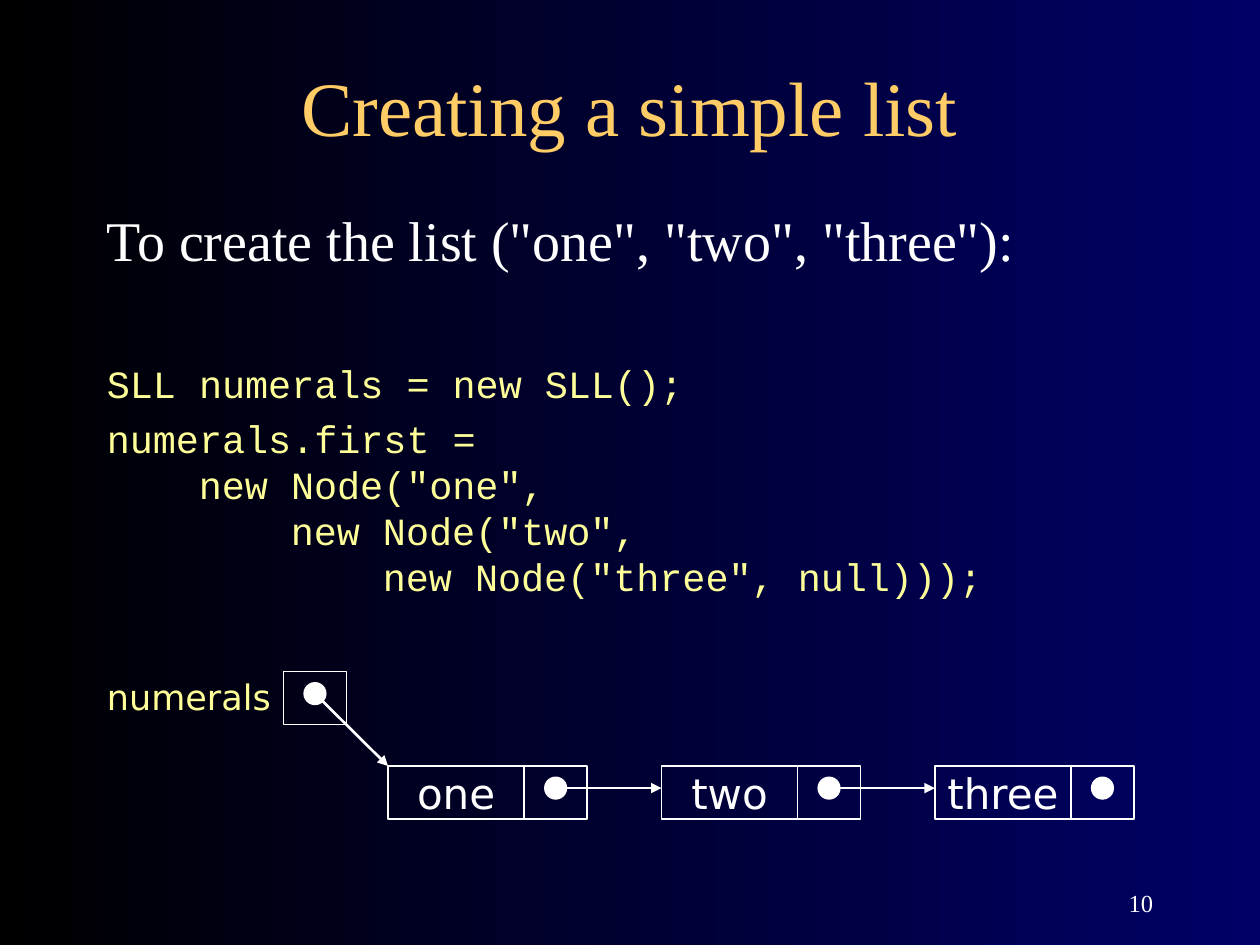
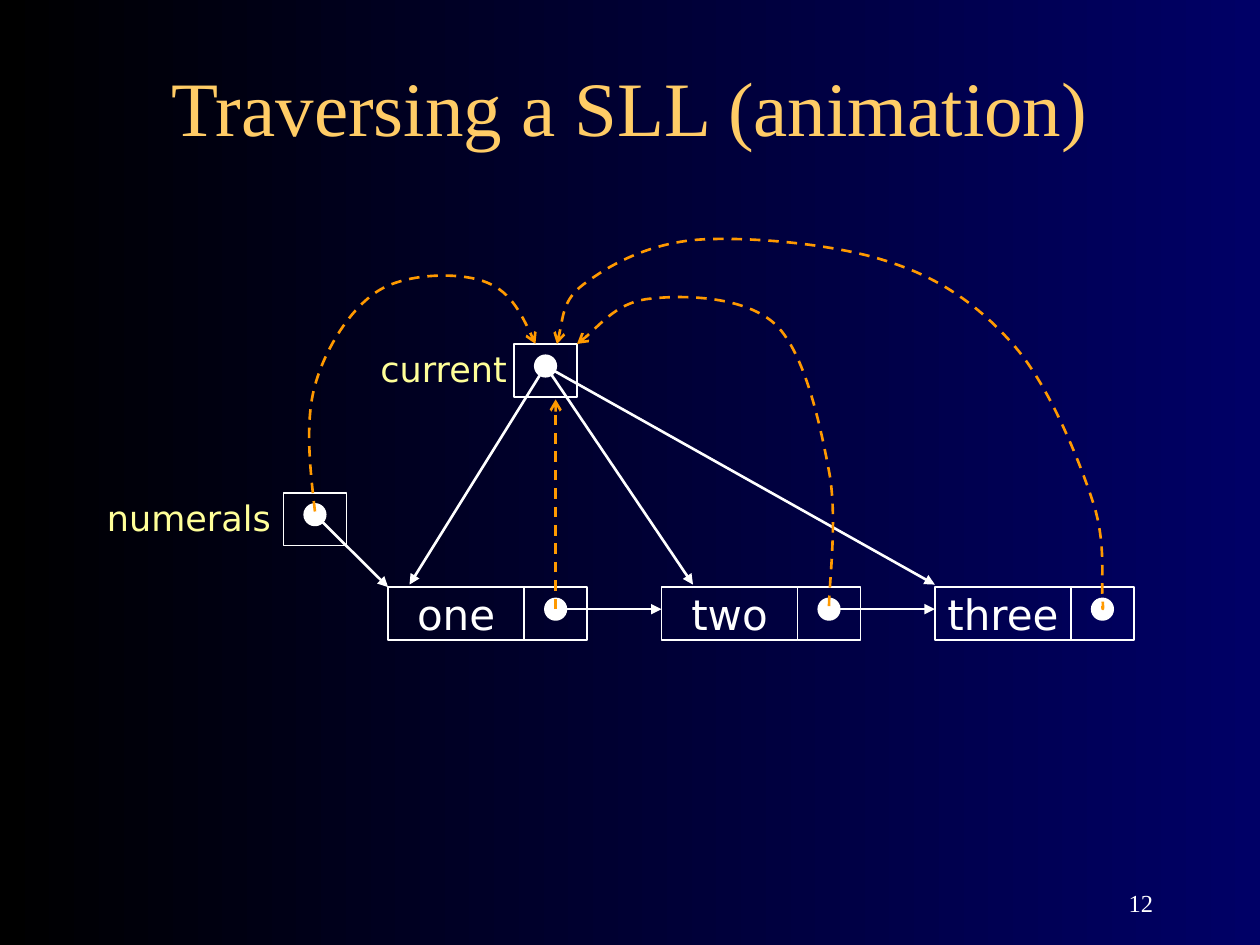
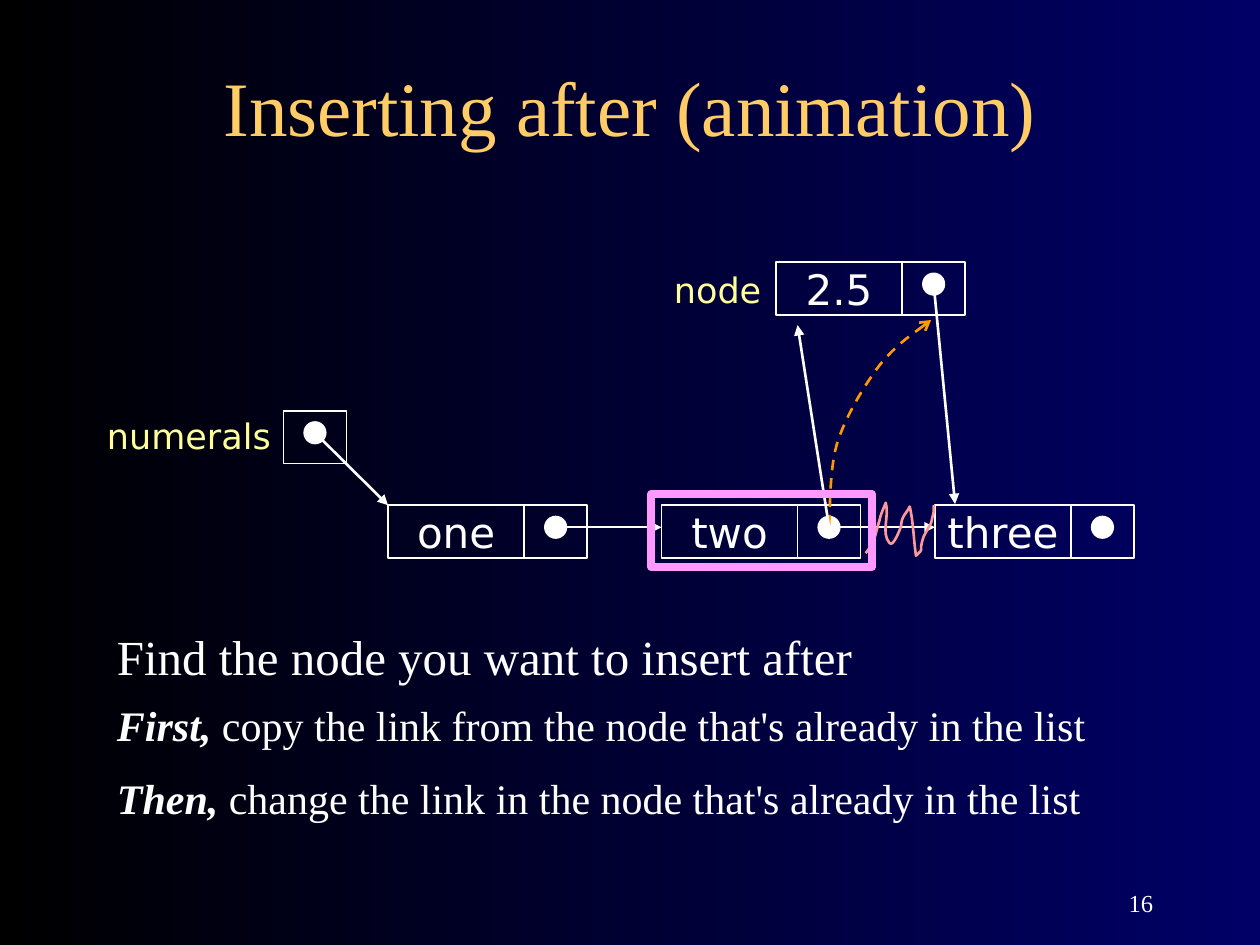
"""Build three slides about singly linked lists."""
from pptx import Presentation
from pptx.dml.color import RGBColor
from pptx.enum.dml import MSO_LINE
from pptx.enum.shapes import MSO_CONNECTOR, MSO_SHAPE
from pptx.enum.text import MSO_ANCHOR, MSO_AUTO_SIZE, PP_ALIGN
from pptx.oxml.ns import qn
from pptx.util import Inches, Pt
from lxml.etree import SubElement

BLACK = RGBColor(0x00, 0x00, 0x00)
NAVY = RGBColor(0x00, 0x00, 0x66)
WHITE = RGBColor(0xFF, 0xFF, 0xFF)
GOLD = RGBColor(0xFF, 0xCC, 0x66)
YELLOW = RGBColor(0xFF, 0xFF, 0x99)
ORANGE = RGBColor(0xFF, 0x99, 0x00)
SALMON = RGBColor(0xFF, 0x99, 0x99)
PINK = RGBColor(0xFF, 0x99, 0xFF)

SERIF, MONO, SANS = "Times New Roman", "Courier New", "DejaVu Sans"
TITLE = {"name": SERIF, "size": Pt(44), "color": GOLD}
NUMBER = {"name": SERIF, "size": Pt(14), "color": WHITE}
LEAD = {"name": SERIF, "size": Pt(32), "color": WHITE}
CODE = {"name": MONO, "size": Pt(22), "color": YELLOW}
LABEL = {"name": SANS, "size": Pt(20), "color": YELLOW}
VALUE = {"name": SANS, "size": Pt(24), "color": WHITE}
GOAL = {"name": SERIF, "size": Pt(28), "color": WHITE}
STEP = {"name": SERIF, "size": Pt(24), "color": WHITE}
STRONG = {**STEP, "bold": True, "italic": True}

SOLID = {"color": WHITE, "width": 1.5, "head": "triangle"}
LINK = {**SOLID, "width": 1}
DASHED = {"color": ORANGE, "width": 1.5, "dash": MSO_LINE.DASH, "head": "arrow"}
SCRIBBLE = {"color": SALMON, "width": 1.5}

LIST_VALUES = ["one", "two", "three"]
LIST_LEFT, NODE_PITCH = 3.08, 2.17
VALUE_WIDTH, POINTER_WIDTH, BOX_HEIGHT = 1.08, 0.5, 0.42
DOT_SIZE, DOT_TOP = 0.17, 0.09
NUMERALS_LEFT, NUMERALS_RISE = 2.25, 0.75

INTRO = 'To create the list ("one", "two", "three"):'
CODE_LINES = [
    (0, 50, "SLL numerals = new SLL();"),
    (0, 5.5, "numerals.first ="),
    (1, 0, 'new Node("one",'),
    (2, 0, 'new Node("two",'),
    (3, 0, 'new Node("three", null)));'),
]
CODE_INDENT, CODE_PITCH = 0.73, 26.2

CURRENT_TARGETS = [(3.25, 4.64), (5.5, 4.64), (7.42, 4.64)]
COPIES_TO_CURRENT = [
    [(2.5, 4.06), (2.46, 3.71), (2.42, 3.35), (2.5, 3.06), (2.58, 2.77),
     (2.78, 2.45), (3, 2.31), (3.22, 2.17), (3.62, 2.16), (3.83, 2.23),
     (4.04, 2.3), (4.15, 2.51), (4.25, 2.73)],
    [(6.58, 4.81), (6.58, 4.63), (6.65, 4.11), (6.58, 3.74), (6.51, 3.37),
     (6.39, 2.81), (6.16, 2.58), (5.92, 2.35), (5.43, 2.34), (5.17, 2.37),
     (4.91, 2.39), (4.7, 2.65), (4.58, 2.73)],
    [(8.75, 4.81), (8.75, 4.84), (8.76, 4.87), (8.75, 4.73), (8.74, 4.59),
     (8.78, 4.29), (8.67, 3.97), (8.56, 3.64), (8.34, 3.1), (8.08, 2.78),
     (7.82, 2.47), (7.51, 2.23), (7.09, 2.09), (6.67, 1.94), (5.99, 1.88),
     (5.58, 1.9), (5.18, 1.92), (4.86, 2.09), (4.67, 2.23), (4.47, 2.36),
     (4.47, 2.55), (4.42, 2.73)],
]

COPY_LINK = [(6.58, 4.17), (6.59, 4.06), (6.58, 3.71), (6.65, 3.5), (6.72, 3.29),
             (6.86, 3.06), (6.98, 2.9), (7.11, 2.74), (7.3, 2.61), (7.39, 2.54)]
CROSS_OUT = [(6.87, 4.39), (6.95, 4.29), (6.94, 4.26), (6.98, 4.13), (6.99, 4.08),
             (7.01, 4.04), (7.03, 3.99), (7.06, 4.1), (6.99, 4.23), (7.06, 4.31),
             (7.09, 4.35), (7.15, 4.18), (7.15, 4.18), (7.16, 4.08), (7.18, 4.1),
             (7.22, 4.02), (7.25, 4.15), (7.25, 4.28), (7.27, 4.41), (7.35, 4.33),
             (7.28, 4.41), (7.33, 4.26), (7.35, 4.22), (7.39, 4.15), (7.39, 4.15),
             (7.42, 4.02), (7.41, 4.07), (7.41, 4.01)]
INSERT_STEPS = [
    (4.92, 8.08, 0.57, [("Find the node you want to insert after", GOAL)]),
    (5.5, 8.08, 0.5, [("First, ", STRONG),
                      ("copy the link from the node that's already in the list", STEP)]),
    (6.08, 8.67, 0.5, [("Then,", STRONG),
                       (" change the link in the node that's already in the list", STEP)]),
]


def add_run(paragraph, text, style):
    run = paragraph.add_run()
    run.text = text
    for name, value in style.items():
        if name == "color":
            run.font.color.rgb = value
        else:
            setattr(run.font, name, value)


def format_object(target, values):
    for name, value in values.items():
        setattr(target, name, value)


def add_text(slide, left, top, width, height, runs, align=PP_ALIGN.LEFT, anchor=MSO_ANCHOR.TOP):
    box = slide.shapes.add_textbox(Inches(left), Inches(top), Inches(width), Inches(height))
    format_object(box.text_frame, {"word_wrap": True, "vertical_anchor": anchor})
    paragraph = box.text_frame.paragraphs[0]
    paragraph.alignment = align
    for text, style in runs:
        add_run(paragraph, text, style)
    return box


def format_line(shape, style):
    shape.line.color.rgb = style["color"]
    shape.line.width = Pt(style["width"])
    if "dash" in style:
        shape.line.dash_style = style["dash"]
    if "head" in style:
        line = shape._element.spPr.find(qn("a:ln"))
        SubElement(line, qn("a:tailEnd"), type=style["head"])


def add_arrow(slide, start, end, style):
    points = [Inches(value) for value in (*start, *end)]
    arrow = slide.shapes.add_connector(MSO_CONNECTOR.STRAIGHT, *points)
    format_line(arrow, style)
    SubElement(arrow._element.spPr, qn("a:effectLst"))


def add_curve(slide, points, style):
    start, *rest = [(Inches(x), Inches(y)) for x, y in points]
    builder = slide.shapes.build_freeform(*start)
    builder.add_line_segments(rest, close=False)
    curve = builder.convert_to_shape()
    curve.shadow.inherit = False
    curve.fill.background()
    format_line(curve, style)
    outline = next(curve._element.iter(qn("a:path")))
    segments = outline.findall(qn("a:lnTo"))
    for index in range(0, len(segments), 3):
        bezier = SubElement(outline, qn("a:cubicBezTo"))
        for segment in segments[index:index + 3]:
            bezier.append(segment[0])
            outline.remove(segment)


def add_outline(slide, kind, left, top, width, height, color=WHITE, line_width=1):
    shape = slide.shapes.add_shape(kind, Inches(left), Inches(top), Inches(width), Inches(height))
    shape.shadow.inherit = False
    shape.fill.background()
    format_line(shape, {"color": color, "width": line_width})
    return shape


def add_pointer(slide, left, top):
    """Draw a pointer box with its dot and return the centre of the dot."""
    add_outline(slide, MSO_SHAPE.RECTANGLE, left, top, POINTER_WIDTH, BOX_HEIGHT)
    dot_left = left + (POINTER_WIDTH - DOT_SIZE) / 2
    dot = add_outline(slide, MSO_SHAPE.OVAL, dot_left, top + DOT_TOP, DOT_SIZE, DOT_SIZE)
    dot.fill.solid()
    dot.fill.fore_color.rgb = WHITE
    return left + POINTER_WIDTH / 2, top + DOT_TOP + DOT_SIZE / 2


def add_node(slide, left, top, value, value_width=VALUE_WIDTH):
    box = add_outline(slide, MSO_SHAPE.RECTANGLE, left, top, value_width, BOX_HEIGHT)
    format_object(box.text_frame, {"word_wrap": False, "vertical_anchor": MSO_ANCHOR.MIDDLE})
    paragraph = box.text_frame.paragraphs[0]
    paragraph.alignment = PP_ALIGN.CENTER
    add_run(paragraph, value, VALUE)
    return add_pointer(slide, left + value_width, top)


def add_label(slide, left, pointer_top, width, text):
    add_text(slide, left, pointer_top - 0.02, width, 0.44, [(text, LABEL)])


def add_numerals_list(slide, top):
    """Draw the numerals pointer and its chain, and return the dot centres."""
    dots = []
    for index, value in enumerate(LIST_VALUES):
        left = LIST_LEFT + index * NODE_PITCH
        dots.append(add_node(slide, left, top, value))
        if index < len(LIST_VALUES) - 1:
            add_arrow(slide, dots[-1], (left + NODE_PITCH, dots[-1][1]), LINK)
    pointer_top = top - NUMERALS_RISE
    start = add_pointer(slide, NUMERALS_LEFT, pointer_top)
    add_label(slide, 0.75, pointer_top, 1.58, "numerals")
    add_arrow(slide, start, (LIST_LEFT, top), SOLID)
    return dots


def add_titled_slide(presentation, title, number):
    slide = presentation.slides.add_slide(presentation.slide_layouts[5])
    format_object(slide.shapes.title, {"left": Inches(0.75), "top": Inches(0.42),
                                       "width": Inches(8.5), "height": Inches(0.83)})
    frame = slide.shapes.title.text_frame
    format_object(frame, {"word_wrap": True, "auto_size": MSO_AUTO_SIZE.NONE,
                          "vertical_anchor": MSO_ANCHOR.MIDDLE})
    frame.paragraphs[0].alignment = PP_ALIGN.CENTER
    add_run(frame.paragraphs[0], title, TITLE)
    add_text(slide, 7.17, 6.83, 2.08, 0.5, [(number, NUMBER)], PP_ALIGN.RIGHT, MSO_ANCHOR.BOTTOM)
    return slide


def set_background(presentation):
    fill = presentation.slide_master.background.fill
    fill.gradient()
    fill.gradient_angle = 0
    for stop, position, color in zip(fill.gradient_stops, (0, 1), (BLACK, NAVY)):
        stop.position = position
        stop.color.rgb = color


def build_creating(presentation):
    slide = add_titled_slide(presentation, "Creating a simple list", "10")
    body = add_text(slide, 0.75, 1.58, 8.5, 3.3, [(INTRO, LEAD)])
    body.text_frame.paragraphs[0].space_before = Pt(8)
    for level, space, text in CODE_LINES:
        paragraph = body.text_frame.add_paragraph()
        format_object(paragraph, {"space_before": Pt(space), "line_spacing": Pt(CODE_PITCH)})
        paragraph._p.get_or_add_pPr().set("marL", str(Inches(level * CODE_INDENT)))
        add_run(paragraph, text, CODE)
    add_numerals_list(slide, 6.08)


def build_traversing(presentation):
    slide = add_titled_slide(presentation, "Traversing a SLL (animation)", "12")
    dots = add_numerals_list(slide, 4.66)
    current = add_pointer(slide, 4.08, 2.73)
    add_label(slide, 2.92, 2.73, 1.42, "current")
    for target in CURRENT_TARGETS:
        add_arrow(slide, current, target, SOLID)
    add_arrow(slide, dots[0], (dots[0][0], 3.17), DASHED)
    for points in COPIES_TO_CURRENT:
        add_curve(slide, points, DASHED)


def build_inserting(presentation):
    slide = add_titled_slide(presentation, "Inserting after (animation)", "16")
    dots = add_numerals_list(slide, 4.01)
    new_dot = add_node(slide, 6.16, 2.08, "2.5", 1)
    add_label(slide, 5.25, 2.1, 0.92, "node")
    for top, width, height, runs in INSERT_STEPS:
        add_text(slide, 0.83, top, width, height, runs)
    add_curve(slide, COPY_LINK, DASHED)
    add_arrow(slide, new_dot, (7.58, 4), SOLID)
    add_arrow(slide, dots[1], (6.33, 2.58), SOLID)
    add_curve(slide, CROSS_OUT, SCRIBBLE)
    add_outline(slide, MSO_SHAPE.RECTANGLE, 5.17, 3.92, 1.75, 0.58, PINK, 4.5)


def main():
    presentation = Presentation()
    presentation.slide_width, presentation.slide_height = Inches(10), Inches(7.5)
    set_background(presentation)
    for build in (build_creating, build_traversing, build_inserting):
        build(presentation)
    presentation.save("out.pptx")


if __name__ == "__main__":
    main()
